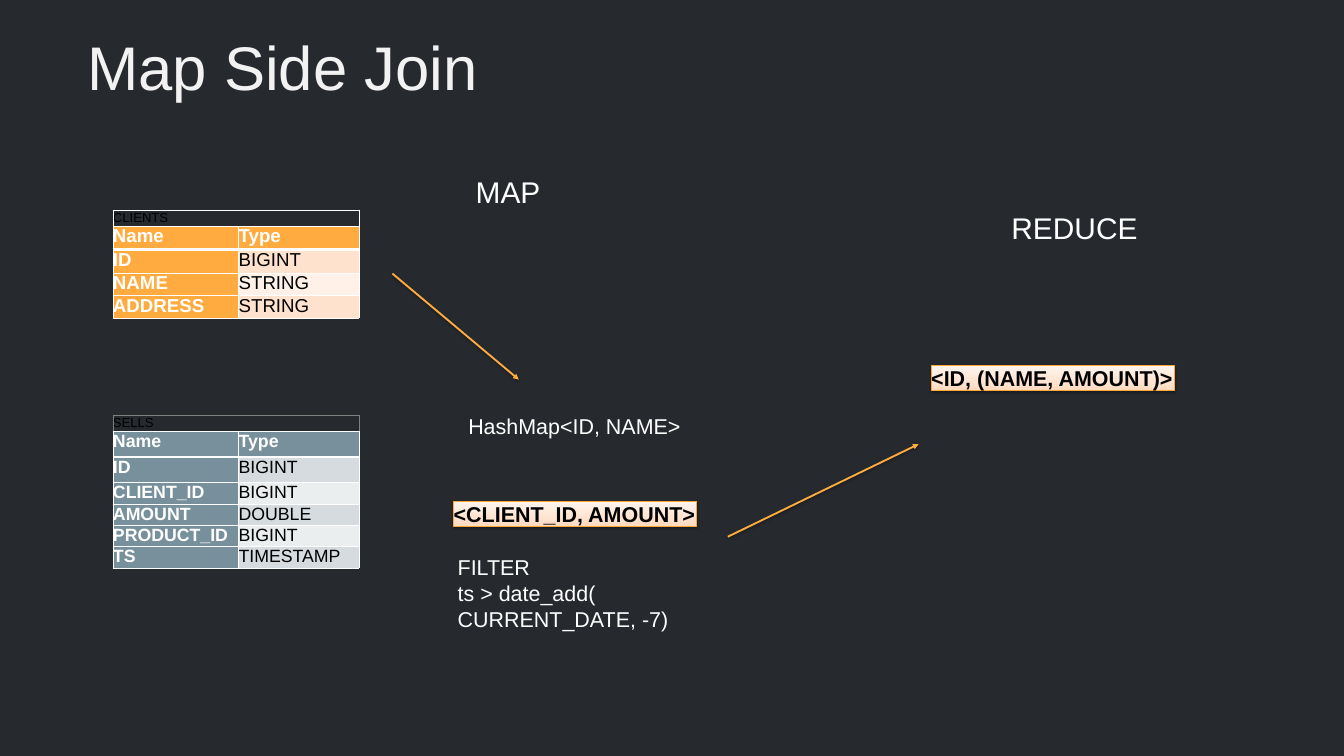
"""Build the Map Side Join slide: two source tables, the map step and the reduce step."""
from copy import deepcopy

from pptx import Presentation
from pptx.dml.color import RGBColor
from pptx.enum.shapes import MSO_CONNECTOR, MSO_SHAPE
from pptx.enum.text import MSO_ANCHOR, MSO_AUTO_SIZE, PP_ALIGN
from pptx.oxml import parse_xml
from pptx.oxml.ns import nsdecls, qn
from pptx.util import Cm, Pt

RECTANGLE = MSO_SHAPE.RECTANGLE
STRAIGHT = MSO_CONNECTOR.STRAIGHT
TOP, MIDDLE = MSO_ANCHOR.TOP, MSO_ANCHOR.MIDDLE
LEFT = PP_ALIGN.LEFT
GROW = MSO_AUTO_SIZE.SHAPE_TO_FIT_TEXT

FONT = "Arial"
TITLE_ONLY = 5
BACKGROUND = RGBColor(0x26, 0x2A, 0x2F)
TITLE_COLOR = RGBColor(0xF2, 0xF2, 0xF2)
WHITE = RGBColor(0xFF, 0xFF, 0xFF)
BLACK = RGBColor(0x00, 0x00, 0x00)
GRAY = RGBColor(0x80, 0x80, 0x80)
ORANGE = RGBColor(0xFF, 0xAB, 0x40)
ORANGE_EDGE = RGBColor(0xFE, 0xA8, 0x3A)
ORANGE_TINTS = (RGBColor(0xFF, 0xE2, 0xCD), RGBColor(0xFF, 0xF1, 0xE8))
SLATE = RGBColor(0x78, 0x90, 0x9C)
SLATE_TINTS = (RGBColor(0xD5, 0xDB, 0xDE), RGBColor(0xEB, 0xEE, 0xEF))
GRADIENT = (
    (0, RGBColor(0xFF, 0xDA, 0xBE)),
    (0.35, RGBColor(0xFF, 0xE4, 0xD1)),
    (1, RGBColor(0xFF, 0xF5, 0xEE)),
)


def write_text(frame, text, size, color, bold=False):
    frame.margin_left = frame.margin_right = 0
    frame.margin_top = frame.margin_bottom = 0
    frame.text = text
    for para in frame.paragraphs:
        para.alignment = LEFT
        for span in para.runs:
            span.font.name = FONT
            span.font.size = Pt(size)
            span.font.bold = bold
            span.font.color.rgb = color


def add_shadow(drawing):
    drawing._element.spPr.append(parse_xml(
        f'<a:effectLst {nsdecls("a")}>'
        '<a:outerShdw blurRad="38100" dist="20320" dir="5400000" rotWithShape="0">'
        '<a:srgbClr val="000000"><a:alpha val="38000"/></a:srgbClr>'
        '</a:outerShdw></a:effectLst>'))


deck = Presentation()
deck.slide_width, deck.slide_height = Cm(50.8), Cm(28.58)
page = deck.slides.add_slide(deck.slide_layouts[TITLE_ONLY])
page.background.fill.solid()
page.background.fill.fore_color.rgb = BACKGROUND

title = page.shapes.title
title.left, title.top, title.width, title.height = Cm(3.3), Cm(1.14), Cm(44.25), Cm(3.02)
write_text(title.text_frame, "Map Side Join", 66, TITLE_COLOR)
title.text_frame.vertical_anchor = MIDDLE
title.text_frame.paragraphs[0].line_spacing = 0.9

for text, left, top in (
    ("<CLIENT_ID, AMOUNT>", 17.15, 18.95),
    ("<ID, (NAME, AMOUNT)>", 35.2, 13.82),
):
    box = page.shapes.add_shape(RECTANGLE, Cm(left), Cm(top), Cm(9.19), Cm(0.94))
    box.fill.gradient()
    box.fill.gradient_angle = 90
    stop_list = box._element.spPr.find(".//" + qn("a:gsLst"))
    stop_list.append(deepcopy(stop_list[-1]))
    for stop, (position, color) in zip(box.fill.gradient_stops, GRADIENT):
        stop.position = position
        stop.color.rgb = color
    box.line.color.rgb = ORANGE_EDGE
    box.line.width = Pt(0.75)
    add_shadow(box)
    write_text(box.text_frame, text, 23, BLACK, bold=True)
    box.text_frame.vertical_anchor = TOP
    box.text_frame.word_wrap = False
    box.text_frame.auto_size = GROW

for text, size, left, top, width, height in (
    ("MAP", 32, 17.98, 6.55, 2.49, 1.27),
    ("REDUCE", 32, 38.23, 7.92, 4.8, 1.27),
    ("HashMap<ID, NAME>", 23, 17.7, 15.62, 8.05, 0.91),
    ("FILTER\nts > date_add(\nCURRENT_DATE, -7)", 23, 17.3, 20.96, 8, 2.82),
):
    label = page.shapes.add_textbox(Cm(left), Cm(top), Cm(width), Cm(height))
    write_text(label.text_frame, text, size, WHITE)
    label.text_frame.word_wrap = False
    label.text_frame.auto_size = GROW

for start_x, start_y, end_x, end_y in (
    (27.51, 20.29, 34.72, 16.79),
    (14.83, 10.34, 19.61, 14.35),
):
    arrow = page.shapes.add_connector(STRAIGHT, Cm(start_x), Cm(start_y), Cm(end_x), Cm(end_y))
    arrow.line.color.rgb = ORANGE
    arrow.line.width = Pt(2)
    arrow.line._get_or_add_ln().append(
        parse_xml(f'<a:tailEnd {nsdecls("a")} type="triangle"/>'))
    add_shadow(arrow)

CLIENT_FIELDS = (("ID", "BIGINT"), ("NAME", "STRING"), ("ADDRESS", "STRING"))
SELL_FIELDS = (
    ("ID", "BIGINT"), ("CLIENT_ID", "BIGINT"), ("AMOUNT", "DOUBLE"),
    ("PRODUCT_ID", "BIGINT"), ("TS", "TIMESTAMP"),
)
for name, fields, top, size, head_height, row_height, accent, tints, name_edge in (
    ("CLIENTS", CLIENT_FIELDS, 7.95, 20, 0.89, 0.84, ORANGE, ORANGE_TINTS, WHITE),
    ("SELLS", SELL_FIELDS, 15.72, 19, 0.97, 0.8, SLATE, SLATE_TINTS, GRAY),
):
    rows = [(name, ""), ("Name", "Type"), *fields]
    heights = [0.56, head_height, head_height] + [row_height] * (len(fields) - 1)
    table = page.shapes.add_table(
        len(rows), 2, Cm(4.27), Cm(top), Cm(9.3), Cm(sum(heights))).table
    table.columns[0].width, table.columns[1].width = Cm(4.75), Cm(4.55)
    table.cell(0, 0).merge(table.cell(0, 1))
    for r, (values, height) in enumerate(zip(rows, heights)):
        table.rows[r].height = Cm(height)
        for c, value in enumerate(values):
            cell = table.cell(r, c)
            cell.margin_left = cell.margin_right = 0
            cell.margin_top = cell.margin_bottom = 0
            for side in "LRTB":
                thick = (r, side) in ((1, "B"), (2, "T"))
                edge = name_edge if r == 0 and side != "B" else WHITE
                cell._tc.get_or_add_tcPr().append(parse_xml(
                    f'<a:ln{side} {nsdecls("a")} w="{Pt(3 if thick else 1)}">'
                    f'<a:solidFill><a:srgbClr val="{edge}"/></a:solidFill></a:ln{side}>'))
            accented = r == 1 or c == 0
            if r == 0:
                cell.fill.background()
                write_text(cell.text_frame, value, 14, BLACK)
            else:
                cell.fill.solid()
                cell.fill.fore_color.rgb = accent if accented else tints[r % 2]
                write_text(cell.text_frame, value, size, WHITE if accented else BLACK, accented)

deck.save("out.pptx")
